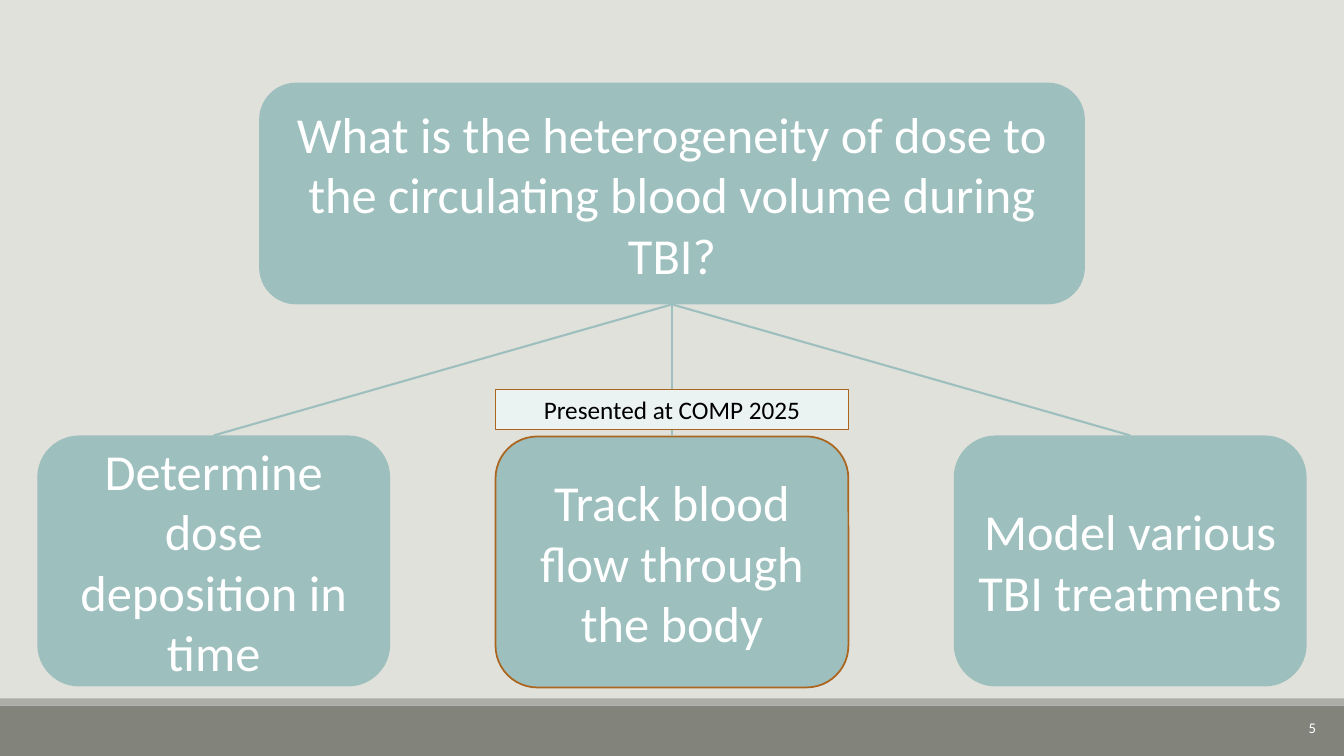
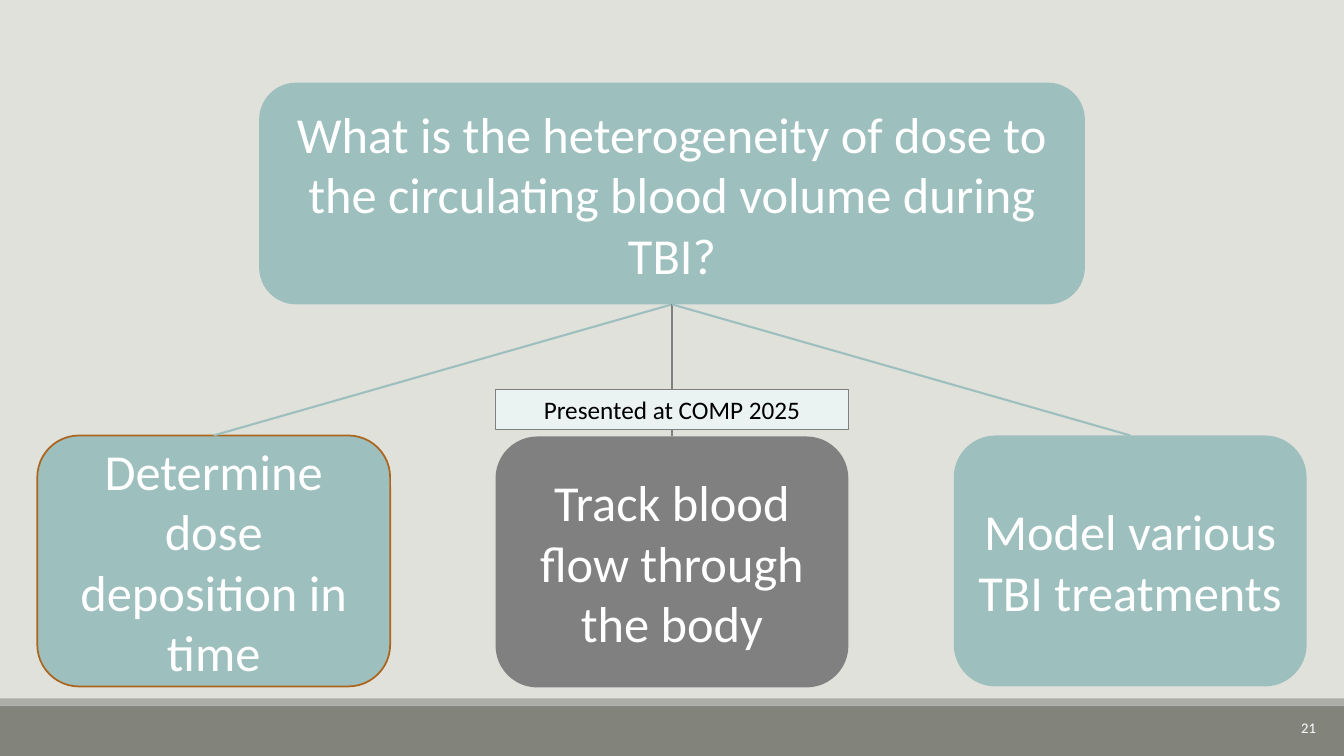
"""Build two views of a research question and its three aims."""
from lxml.etree import SubElement
from pptx import Presentation
from pptx.dml.color import RGBColor
from pptx.enum.shapes import MSO_CONNECTOR, MSO_SHAPE
from pptx.enum.text import MSO_ANCHOR, MSO_AUTO_SIZE, PP_ALIGN
from pptx.oxml.ns import qn
from pptx.util import Inches, Pt

QUESTION = "What is the heterogeneity of dose to the circulating blood volume during TBI?"
AIMS = [
    ("Determine dose deposition in time", 4.32),
    ("Track blood flow through the body", 4.33),
    ("Model various TBI treatments", 4.32),
]
PRESENTED = "Presented at COMP 2025"
PRESENTED_AIM = 1

TEAL, GREY, ORANGE, PALE = "9DBFBE", "808080", "AB651E", "EBF2F2"
WHITE, BLACK, BACKGROUND = "FFFFFF", "000000", "E1E1DB"
FONT = "Calibri"
WIDTH, HEIGHT = 13.33, 7.5
BANDS = [(7, 0.5, "82847C"), (6.93, 0.07, "ACADA8")]
QUESTION_BOX = (2.57, 0.82, 8.19, 2.2)
AIM_LEFT, AIM_PITCH, AIM_WIDTH, AIM_HEIGHT = 0.37, 4.545, 3.5, 2.49
LABEL_TOP, LABEL_HEIGHT = 3.86, 0.4

VIEWS = [
    {"number": "5", "current": 1, "done": [], "label_line": ORANGE},
    {"number": "21", "current": 0, "done": [1], "label_line": GREY},
]


def rgb(value):
    return RGBColor.from_string(value)


def write(shape, text, size, color=WHITE, align=PP_ALIGN.CENTER, anchor=MSO_ANCHOR.MIDDLE):
    frame = shape.text_frame
    frame.word_wrap = True
    frame.vertical_anchor = anchor
    paragraph = frame.paragraphs[0]
    paragraph.alignment = align
    run = paragraph.add_run()
    run.text = text
    run.font.name = FONT
    run.font.size = Pt(size)
    run.font.color.rgb = rgb(color)


def add_box(slide, preset, bounds, fill, line=None, line_width=1.25):
    box = slide.shapes.add_shape(preset, *map(Inches, bounds))
    box.shadow.inherit = False
    box.fill.solid()
    box.fill.fore_color.rgb = rgb(fill)
    if line:
        box.line.color.rgb = rgb(line)
        box.line.width = Pt(line_width)
    else:
        box.line.fill.background()
    return box


def add_branch(slide, start, end, color):
    branch = slide.shapes.add_connector(MSO_CONNECTOR.STRAIGHT, *map(Inches, start + end))
    branch.line.color.rgb = rgb(color)
    branch.line.width = Pt(1.5)
    SubElement(branch._element.spPr, qn("a:effectLst"))


def add_footer(slide, number):
    for top, height, color in BANDS:
        add_box(slide, MSO_SHAPE.RECTANGLE, (0, top, WIDTH, height), color)
    page = slide.shapes.add_textbox(*map(Inches, (10.15, 7.02, 3, 0.4)))
    write(page, number, 10.5, align=PP_ALIGN.RIGHT)


def add_view(prs, view):
    slide = prs.slides.add_slide(prs.slide_layouts[6])
    add_footer(slide, view["number"])
    question = add_box(slide, MSO_SHAPE.ROUNDED_RECTANGLE, QUESTION_BOX, TEAL)
    write(question, QUESTION, 36)

    left, top, width, height = QUESTION_BOX
    trunk = (left + width / 2, top + height)
    lefts = [AIM_LEFT + i * AIM_PITCH for i in range(len(AIMS))]
    colors = [GREY if i in view["done"] else TEAL for i in range(len(AIMS))]
    for i, (text, aim_top) in enumerate(AIMS):
        bounds = (lefts[i], aim_top, AIM_WIDTH, AIM_HEIGHT)
        outline = ORANGE if i == view["current"] else None
        aim = add_box(slide, MSO_SHAPE.ROUNDED_RECTANGLE, bounds, colors[i], outline)
        write(aim, text, 36)
    for i, (_, aim_top) in enumerate(AIMS):
        add_branch(slide, (lefts[i] + AIM_WIDTH / 2, aim_top), trunk, colors[i])

    bounds = (lefts[PRESENTED_AIM], LABEL_TOP, AIM_WIDTH, LABEL_HEIGHT)
    label = add_box(slide, MSO_SHAPE.RECTANGLE, bounds, PALE, view["label_line"], 0.75)
    write(label, PRESENTED, 18, BLACK, anchor=MSO_ANCHOR.TOP)
    label.text_frame.auto_size = MSO_AUTO_SIZE.SHAPE_TO_FIT_TEXT


def main():
    prs = Presentation()
    prs.slide_width, prs.slide_height = Inches(WIDTH), Inches(HEIGHT)
    backdrop = prs.slide_master.background.fill
    backdrop.solid()
    backdrop.fore_color.rgb = rgb(BACKGROUND)
    for view in VIEWS:
        add_view(prs, view)
    prs.save("out.pptx")


if __name__ == "__main__":
    main()
